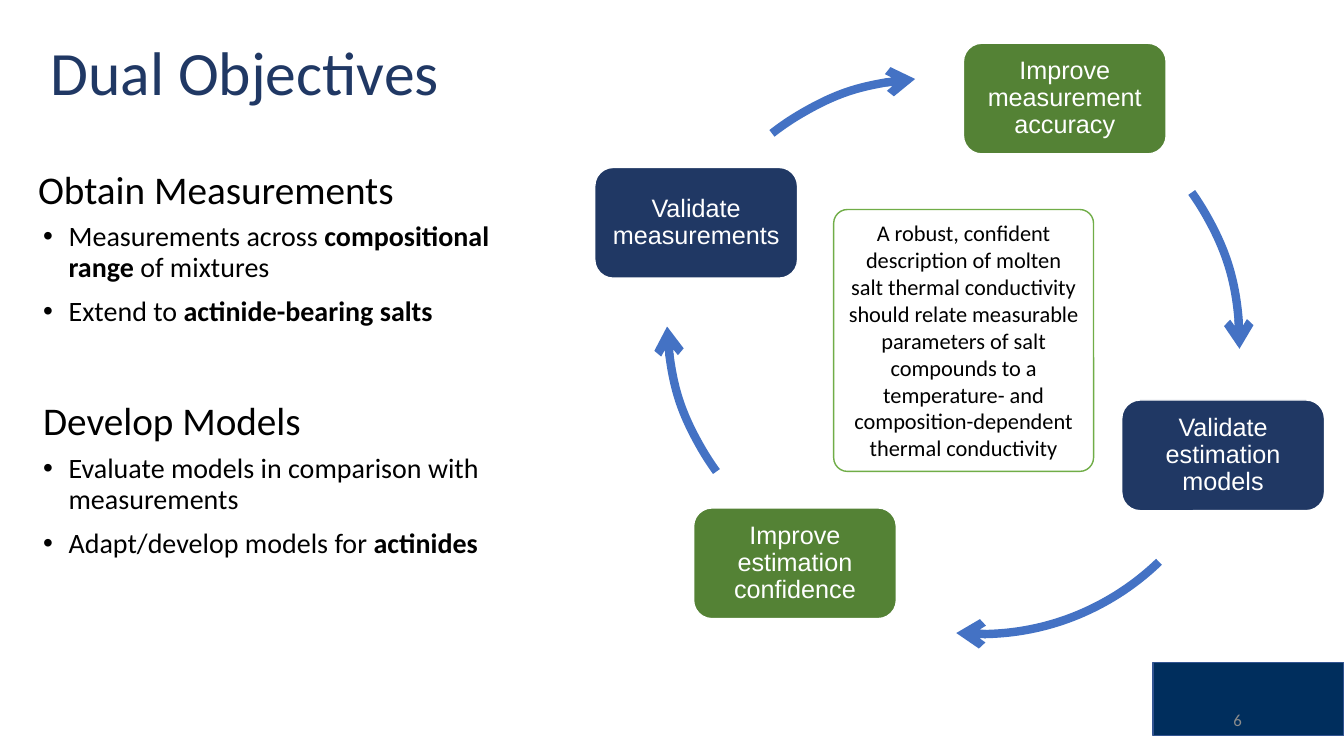
from dataclasses import dataclass

from lxml import etree
from pptx import Presentation
from pptx.dml.color import RGBColor
from pptx.enum.shapes import MSO_SHAPE
from pptx.enum.text import MSO_ANCHOR, PP_ALIGN
from pptx.oxml.ns import qn
from pptx.util import Cm, Pt

RECTANGLE, ROUNDED, ARC = MSO_SHAPE.RECTANGLE, MSO_SHAPE.ROUNDED_RECTANGLE, MSO_SHAPE.ARC
TOP, MIDDLE, BOTTOM = MSO_ANCHOR.TOP, MSO_ANCHOR.MIDDLE, MSO_ANCHOR.BOTTOM
LEFT, CENTER, RIGHT = PP_ALIGN.LEFT, PP_ALIGN.CENTER, PP_ALIGN.RIGHT


@dataclass(frozen=True)
class Theme:
    body_font: str = "Calibri"
    card_font: str = "Arial"
    title_size: int = 44
    heading_size: int = 28
    bullet_size: int = 20
    card_size: int = 18
    summary_size: int = 16
    number_size: int = 12
    navy: str = "203864"
    green: str = "548235"
    light_green: str = "70AD47"
    arrow: str = "4472C4"
    footer: str = "002E5D"
    footer_line: str = "325491"
    white: str = "FFFFFF"
    black: str = "000000"
    gray: str = "8C8C8C"


THEME = Theme()
CARD_SIZE = (5.11, 2.79)
CYCLE_DIAMETER = 12.98

# Left, top, fill, text
CARDS = [
    (24.28, 1.09, THEME.green, "Improve measurement accuracy"),
    (28.27, 10.08, THEME.navy, "Validate estimation models"),
    (17.48, 12.8, THEME.green, "Improve estimation confidence"),
    (14.99, 4.22, THEME.navy, "Validate measurements"),
]

# Left and top of the full circle, start and end angle in degrees
ARROWS = [
    (18.26, 2.13, 324.5, 1.5),
    (18.21, 3, 46, 95.3),
    (16.81, 1.57, 143.9, 178.5),
    (16.97, 1.98, 231.9, 266.5),
]

# Heading left, heading top, bullets top, heading, bullets as (text, bold) spans
OBJECTIVES = [
    (0.71, 3.91, 5.49, "Obtain Measurements", [
        [("Measurements across ", False), ("compositional range ", True),
         ("of mixtures", False)],
        [("Extend to ", False), ("actinide-bearing salts", True)],
    ]),
    (0.84, 9.75, 11.33, "Develop Models", [
        [("Evaluate models in comparison with measurements", False)],
        [("Adapt/develop models for ", False), ("actinides", True)],
    ]),
]

SUMMARY = ("A robust, confident description of molten salt thermal conductivity "
           "should relate measurable parameters of salt compounds to a temperature- "
           "and composition-dependent thermal conductivity")


def style_paragraph(para, size, color, font=THEME.body_font, align=LEFT, spacing=0.9):
    para.alignment = align
    para.line_spacing = spacing
    para.font.size = Pt(size)
    para.font.name = font
    para.font.color.rgb = RGBColor.from_string(color)


def add_text(page, left, top, width, height, anchor=TOP):
    """Add an empty wrapping text box and return its frame."""
    frame = page.shapes.add_textbox(Cm(left), Cm(top), Cm(width), Cm(height)).text_frame
    frame.word_wrap = True
    frame.vertical_anchor = anchor
    return frame


def add_label(page, area, text, size, color, anchor=MIDDLE, align=LEFT):
    para = add_text(page, *area, anchor).paragraphs[0]
    para.text = text
    style_paragraph(para, size, color, align=align)


def add_bullets(page, area, items):
    frame = add_text(page, *area)
    for index, spans in enumerate(items):
        para = frame.add_paragraph() if index else frame.paragraphs[0]
        properties = para._p.get_or_add_pPr()
        properties.set("marL", str(Cm(0.64)))
        properties.set("indent", str(-Cm(0.64)))
        etree.SubElement(properties, qn("a:buFont"), typeface="Arial")
        etree.SubElement(properties, qn("a:buChar"), char="•")
        style_paragraph(para, THEME.bullet_size, THEME.black)
        if index:
            para.space_before = Pt(10)
        for text, bold in spans:
            span = para.add_run()
            span.text = text
            span.font.bold = bold


def add_box(page, kind, area, fill, line):
    box = page.shapes.add_shape(kind, *map(Cm, area))
    box.shadow.inherit = False
    box.fill.solid()
    box.fill.fore_color.rgb = RGBColor.from_string(fill)
    box.line.color.rgb = RGBColor.from_string(line)
    box.line.width = Pt(1)
    return box


def fill_box(box, text, **style):
    frame = box.text_frame
    frame.word_wrap = True
    frame.vertical_anchor = MIDDLE
    para = frame.paragraphs[0]
    para.text = text
    style_paragraph(para, align=CENTER, **style)


def add_card(page, left, top, fill, text):
    box = add_box(page, ROUNDED, (left, top, *CARD_SIZE), fill, THEME.white)
    frame = box.text_frame
    frame.margin_left = frame.margin_right = Cm(0.18)
    frame.margin_top = frame.margin_bottom = Cm(0.18)
    fill_box(box, text, size=THEME.card_size, color=THEME.white, font=THEME.card_font)


def add_cycle_arrow(page, left, top, start, end):
    arc = page.shapes.add_shape(ARC, Cm(left), Cm(top),
                                Cm(CYCLE_DIAMETER), Cm(CYCLE_DIAMETER))
    arc.shadow.inherit = False
    arc.fill.background()
    # Angles are stored in 1/60000 degree; adjustments scale by 100000
    arc.adjustments[0] = start * 0.6
    arc.adjustments[1] = end * 0.6
    arc.line.color.rgb = RGBColor.from_string(THEME.arrow)
    arc.line.width = Pt(6)
    etree.SubElement(arc.line._get_or_add_ln(), qn("a:tailEnd"), type="arrow")


def main():
    deck = Presentation()
    deck.slide_width, deck.slide_height = Cm(33.87), Cm(19.05)
    page = deck.slides.add_slide(deck.slide_layouts[6])

    add_box(page, RECTANGLE, (29.06, 16.69, 4.8, 1.85), THEME.footer, THEME.footer_line)
    add_label(page, (1.02, 0.76, 30.48, 2.29), "Dual Objectives",
              THEME.title_size, THEME.navy)
    for left, top, bullets_top, heading, bullets in OBJECTIVES:
        add_label(page, (left, top, 14.33, 1.57), heading,
                  THEME.heading_size, THEME.black, anchor=BOTTOM)
        add_bullets(page, (0.84, bullets_top, 12.52, 3.84), bullets)
    add_label(page, (23.93, 17.65, 7.62, 1.02), "6",
              THEME.number_size, THEME.gray, align=RIGHT)

    for card, arrow in zip(CARDS, ARROWS):
        add_card(page, *card)
        add_cycle_arrow(page, *arrow)
    summary = add_box(page, ROUNDED, (21.01, 5.28, 6.55, 6.6),
                      THEME.white, THEME.light_green)
    summary.adjustments[0] = 0.053
    fill_box(summary, SUMMARY, size=THEME.summary_size, color=THEME.black, spacing=1.0)

    deck.save("out.pptx")


if __name__ == "__main__":
    main()
